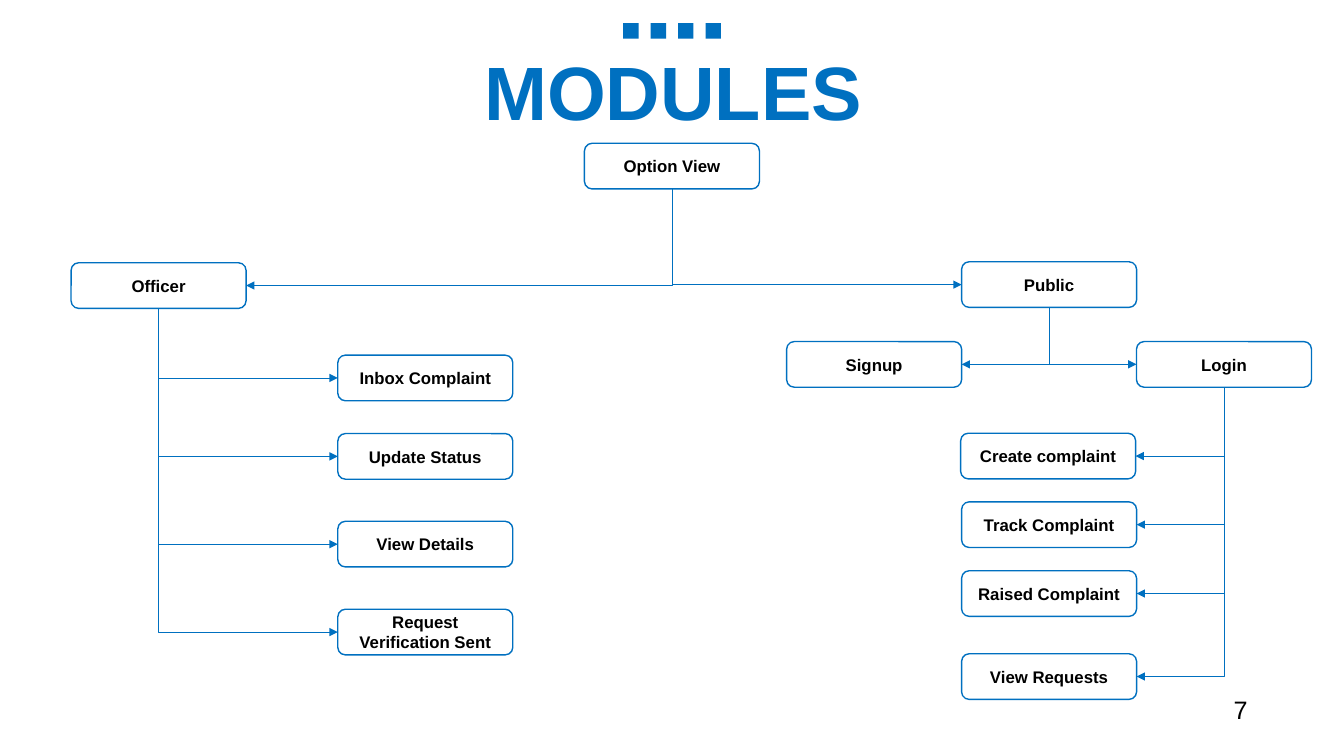
"""Build the MODULES slide: a tree of option views for officers and the public."""
import pptx
import pptx.dml.color
import pptx.enum.shapes
import pptx.enum.text
import pptx.oxml.ns
import pptx.util
from lxml import etree

Pt = pptx.util.Pt
SHAPES = pptx.enum.shapes.MSO_SHAPE
CENTER = pptx.enum.text.PP_ALIGN.CENTER
MIDDLE = pptx.enum.text.MSO_ANCHOR.MIDDLE
BLUE = pptx.dml.color.RGBColor(0x00, 0x70, 0xC0)
WHITE = pptx.dml.color.RGBColor(0xFF, 0xFF, 0xFF)
BLACK = pptx.dml.color.RGBColor(0x00, 0x00, 0x00)

TITLE = "MODULES"
PAGE_NUMBER = "7"
BOX_WIDTH, BOX_HEIGHT = 125, 32.6
SQUARE_SIZE, SQUARE_STEP, SQUARE_COUNT = 11, 19.6, 4
LEFT_SITE, BOTTOM_SITE, RIGHT_SITE = 1, 2, 3

MODULES = [
    ("Option View", 417.5, 102.4, None),
    ("Officer", 50.8, 187.7, "Option View"),
    ("Public", 686.9, 187, "Option View"),
    ("Inbox Complaint", 241.3, 253.7, "Officer"),
    ("Update Status", 241.3, 309.7, "Officer"),
    ("View Details", 241.3, 372.4, "Officer"),
    ("Request Verification Sent", 241.3, 435.2, "Officer"),
    ("Signup", 561.9, 244, "Public"),
    ("Login", 811.8, 244, "Public"),
    ("Create complaint", 686.2, 309.5, "Login"),
    ("Track Complaint", 686.9, 358.5, "Login"),
    ("Raised Complaint", 686.9, 407.7, "Login"),
    ("View Requests", 686.9, 467, "Login"),
]


def write(frame, text, size, color, bold):
    """Put one formatted paragraph in a text frame and return it."""
    frame.word_wrap = True
    frame.text = text
    paragraph = frame.paragraphs[0]
    paragraph.font.name = "Arial"
    paragraph.font.size = Pt(size)
    paragraph.font.bold = bold
    paragraph.font.color.rgb = color
    return paragraph


def add_filled(slide, kind, left, top, width, height, fill):
    """Add a shadowless shape with a solid fill."""
    shape = slide.shapes.add_shape(kind, Pt(left), Pt(top), Pt(width), Pt(height))
    shape.shadow.inherit = False
    shape.fill.solid()
    shape.fill.fore_color.rgb = fill
    return shape


def add_module(slide, name, left, top):
    """Add one rounded module box."""
    box = add_filled(slide, SHAPES.ROUNDED_RECTANGLE, left, top, BOX_WIDTH, BOX_HEIGHT, WHITE)
    box.line.color.rgb = BLUE
    box.line.width = Pt(1)
    box.text_frame.vertical_anchor = MIDDLE
    write(box.text_frame, name, 12, BLACK, True).alignment = CENTER
    return box


def link(slide, parent, child):
    """Join a child's side to its parent's bottom, with the arrowhead at the child."""
    side = LEFT_SITE if child.left > parent.left else RIGHT_SITE
    connector = slide.shapes.add_connector(
        pptx.enum.shapes.MSO_CONNECTOR.ELBOW, 0, 0, 0, 0)
    connector.begin_connect(child, side)
    connector.end_connect(parent, BOTTOM_SITE)
    connector.line.color.rgb = BLUE
    connector.line.width = Pt(0.5)
    qn = pptx.oxml.ns.qn
    properties = connector._element.spPr
    properties.find(qn("a:prstGeom")).set("prst", "bentConnector2")
    etree.SubElement(properties.find(qn("a:ln")), qn("a:headEnd"), type="triangle")
    etree.SubElement(properties, qn("a:effectLst"))


def main():
    """Create and save the presentation."""
    presentation = pptx.Presentation()
    presentation.slide_width, presentation.slide_height = Pt(960), Pt(540)
    slide = presentation.slides.add_slide(presentation.slide_layouts[5])

    title = slide.shapes.title
    title.left, title.top, title.width, title.height = Pt(25), Pt(40.3), Pt(911.5), Pt(57)
    title.text_frame.vertical_anchor = MIDDLE
    heading = write(title.text_frame, TITLE, 54, BLUE, True)
    heading.alignment = CENTER
    heading.line_spacing = 0.9

    for index in range(SQUARE_COUNT):
        square = add_filled(slide, SHAPES.RECTANGLE, 445.2 + index * SQUARE_STEP, 16.6,
                            SQUARE_SIZE, SQUARE_SIZE, BLUE)
        square.line.fill.background()

    boxes = {}
    for name, left, top, parent in MODULES:
        boxes[name] = add_module(slide, name, left, top)
        if parent:
            link(slide, boxes[parent], boxes[name])

    number = slide.shapes.add_textbox(Pt(874), Pt(492.5), Pt(75.6), Pt(29))
    write(number.text_frame, PAGE_NUMBER, 18, BLACK, False)
    presentation.save("out.pptx")


if __name__ == "__main__":
    main()
